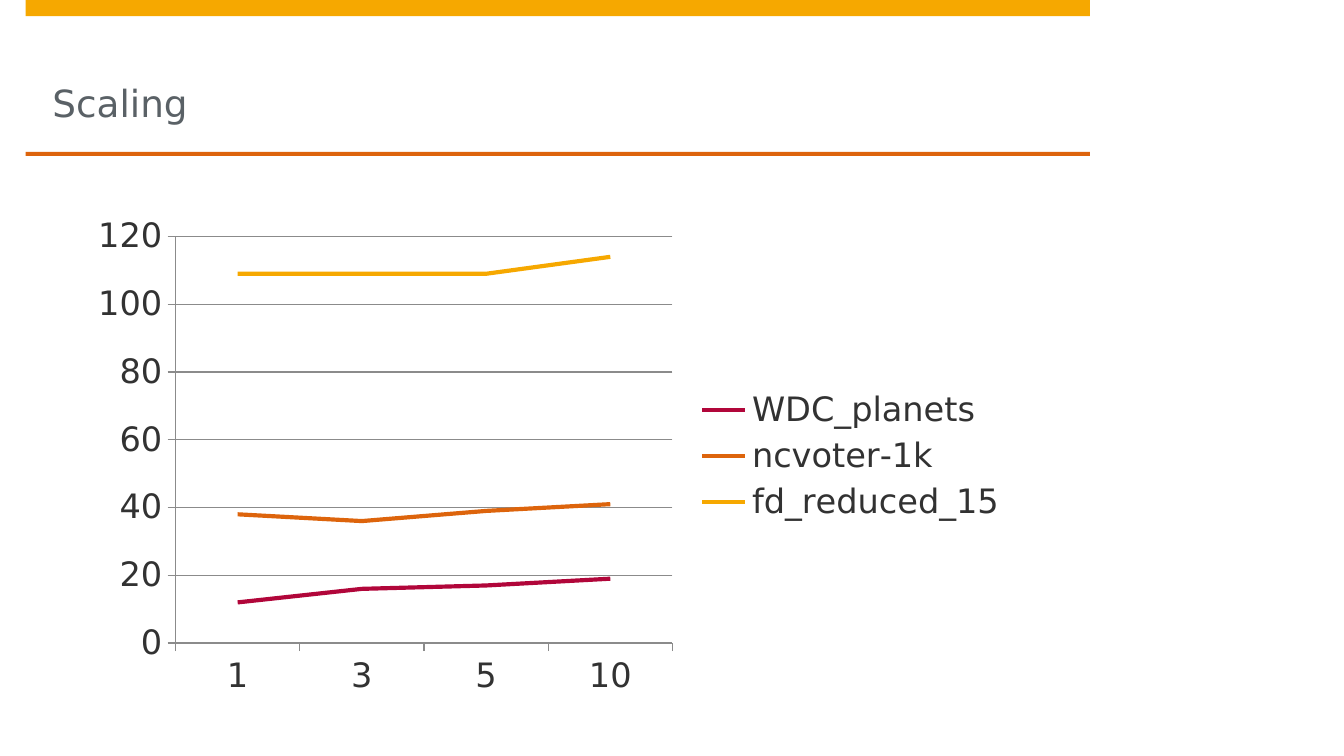
import pptx
import pptx.chart.data
import pptx.dml.color
import pptx.enum.chart
import pptx.enum.shapes
import pptx.enum.text
import pptx.util
from pptx.util import Inches

FONT = "DejaVu Sans"
ORANGE, AMBER, CRIMSON = "DD640C", "F6A800", "B1063A"
TITLE_GREY, TEXT_GREY, AXIS_GREY = "5A6166", "323232", "8B8B8B"


def color(value):
    return pptx.dml.color.RGBColor.from_string(value)


class SlideBuilder:
    """Holds the font and the current slide."""

    def __init__(self, slide, font):
        self.slide = slide
        self.font = font

    def style(self, font, size, tint):
        font.name = self.font
        font.size = pptx.util.Pt(size)
        font.bold = False
        font.color.rgb = color(tint)

    def bar(self, left, top, width, height, tint):
        shape = self.slide.shapes.add_shape(
            pptx.enum.shapes.MSO_SHAPE.RECTANGLE,
            Inches(left), Inches(top), Inches(width), Inches(height))
        shape.shadow.inherit = False
        shape.fill.solid()
        shape.fill.fore_color.rgb = color(tint)
        shape.line.fill.background()

    def title(self, text, left, top, width, height):
        box = self.slide.shapes.title
        box.left, box.top = Inches(left), Inches(top)
        box.width, box.height = Inches(width), Inches(height)
        frame = box.text_frame
        frame.word_wrap = True
        frame.auto_size = pptx.enum.text.MSO_AUTO_SIZE.NONE
        frame.vertical_anchor = pptx.enum.text.MSO_ANCHOR.BOTTOM
        frame.margin_left = frame.margin_top = frame.margin_right = 0
        frame.margin_bottom = Inches(0.2)
        para = frame.paragraphs[0]
        para.alignment = pptx.enum.text.PP_ALIGN.LEFT
        span = para.add_run()
        span.text = text
        self.style(span.font, 20, TITLE_GREY)

    def line_chart(self, categories, series, left, top, width, height):
        data = pptx.chart.data.CategoryChartData()
        data.categories = categories
        for name, values, _ in series:
            data.add_series(name, values)
        chart = self.slide.shapes.add_chart(
            pptx.enum.chart.XL_CHART_TYPE.LINE,
            Inches(left), Inches(top), Inches(width), Inches(height),
            data).chart
        self.style(chart.font, 18, TEXT_GREY)
        chart.has_title = False
        chart.has_legend = True
        chart.legend.position = pptx.enum.chart.XL_LEGEND_POSITION.RIGHT
        chart.legend.include_in_layout = False

        # Axes and gridlines
        values_axis = chart.value_axis
        values_axis.minimum_scale, values_axis.maximum_scale = 0, 120
        values_axis.major_unit = 20
        values_axis.has_major_gridlines = True
        for axis in (chart.category_axis, values_axis):
            axis.major_tick_mark = pptx.enum.chart.XL_TICK_MARK.OUTSIDE
            axis.minor_tick_mark = pptx.enum.chart.XL_TICK_MARK.NONE
        for part in (chart.category_axis, values_axis,
                     values_axis.major_gridlines):
            part.format.line.color.rgb = color(AXIS_GREY)
            part.format.line.width = pptx.util.Pt(0.75)

        # Series lines
        plot = chart.plots[0]
        plot.vary_by_categories = False
        for line, (_, _, tint) in zip(plot.series, series):
            line.smooth = False
            line.marker.style = pptx.enum.chart.XL_MARKER_STYLE.NONE
            line.format.line.color.rgb = color(tint)
            line.format.line.width = pptx.util.Pt(2.25)


# Widescreen page, 16:9
deck = pptx.Presentation()
deck.slide_width = Inches(10)
deck.slide_height = Inches(10 * 9 / 16)
page = SlideBuilder(deck.slides.add_slide(deck.slide_layouts[5]), FONT)

# Header
page.bar(0.19, 0, 7.92, 0.12, AMBER)
page.bar(0.19, 1.13, 7.92, 0.03, ORANGE)
page.title("Scaling", 0.39, 0.12, 7.52, 1.01)

# Scaling chart
page.line_chart(
    ["1", "3", "5", "10"],
    [("WDC_planets", (12, 16, 17, 19), CRIMSON),
     ("ncvoter-1k", (38, 36, 39, 41), ORANGE),
     ("fd_reduced_15", (109, 109, 109, 114), AMBER)],
    0.59, 1.54, 7.01, 3.71)

deck.save("out.pptx")
